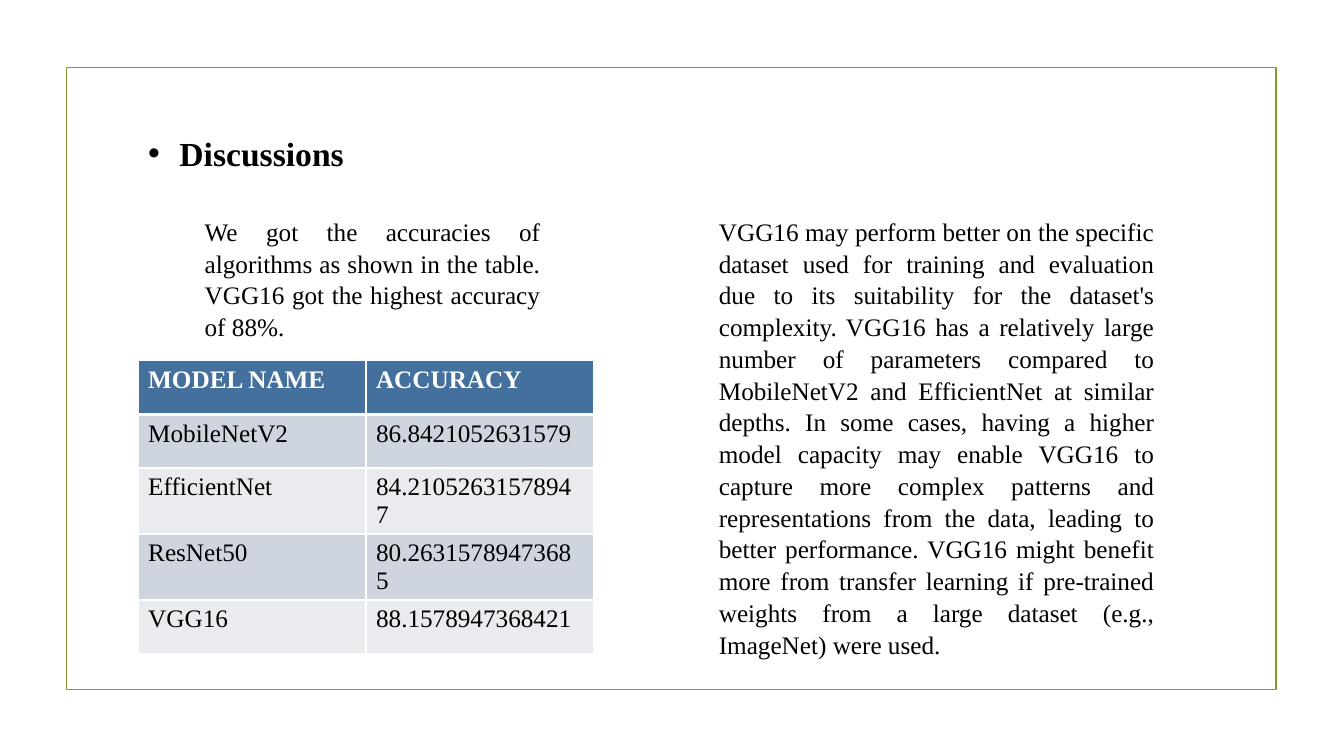
from dataclasses import dataclass

from lxml import etree
from pptx import Presentation
from pptx import util as u
from pptx.dml.color import RGBColor
from pptx.enum import shapes, text
from pptx.oxml.ns import qn


@dataclass(frozen=True)
class Theme:
    """Colours, font and type sizes of the deck."""
    font: str = "Times New Roman"
    ink: str = "000000"
    paper: str = "FFFFFF"
    frame: str = "83992A"
    header: str = "44709D"
    bands: tuple = ("CFD5DF", "E9EBEF")
    title_size: int = 24
    body_size: int = 18


THEME = Theme()
WIDTH, HEIGHT = 13.33, 7.5
LEFT, RIGHT, COLUMN = 1.37, 7.03, 4.52
BODY_TOP = 2.08
INTRO = ("We got the accuracies of algorithms as shown in the table. "
         "VGG16 got the highest accuracy of 88%.")
REASONS = (
    "VGG16 may perform better on the specific dataset used for training and "
    "evaluation due to its suitability for the dataset's complexity. VGG16 has a "
    "relatively large number of parameters compared to MobileNetV2 and EfficientNet "
    "at similar depths. In some cases, having a higher model capacity may enable "
    "VGG16 to capture more complex patterns and representations from the data, "
    "leading to better performance. VGG16 might benefit more from transfer learning "
    "if pre-trained weights from a large dataset (e.g., ImageNet) were used.")
ACCURACIES = [
    ("MODEL NAME", "ACCURACY"),
    ("MobileNetV2", "86.8421052631579"),
    ("EfficientNet", "84.21052631578947"),
    ("ResNet50", "80.26315789473685"),
    ("VGG16", "88.1578947368421"),
]


def style(para, size, color, bold=False):
    """Set the font of a whole paragraph."""
    para.font.name = THEME.font
    para.font.size = u.Pt(size)
    para.font.bold = bold
    para.font.color.rgb = RGBColor.from_string(color)


def fill_placeholder(holder, box, words, bullet=None, indent=0):
    """Move a placeholder to its box and return its one left-aligned paragraph."""
    holder.left, holder.top, holder.width, holder.height = map(u.Inches, box)
    frame = holder.text_frame
    frame.text = words
    frame.word_wrap = True
    frame.auto_size = text.MSO_AUTO_SIZE.NONE
    frame.vertical_anchor = text.MSO_ANCHOR.TOP
    para = frame.paragraphs[0]
    para.alignment = text.PP_ALIGN.LEFT
    para.space_before = u.Pt(0)
    props = para._p.get_or_add_pPr()
    props.set("marL", str(u.Inches(indent)))
    props.set("indent", str(-u.Inches(indent)))
    if bullet:
        etree.SubElement(props, qn("a:buFont"), typeface="Arial")
        etree.SubElement(props, qn("a:buChar"), char=bullet)
    else:
        etree.SubElement(props, qn("a:buNone"))
    return para


def add_frame(page, box):
    """Draw the outline around the page."""
    outline = page.shapes.add_shape(shapes.MSO_SHAPE.RECTANGLE, *map(u.Inches, box))
    outline.shadow.inherit = False
    outline.fill.background()
    outline.line.color.rgb = RGBColor.from_string(THEME.frame)
    outline.line.width = u.Pt(1.25)


def add_title(page, box, words):
    """Place the bulleted title."""
    para = fill_placeholder(page.shapes.title, box, words, "•", 0.31)
    style(para, THEME.title_size, THEME.ink, True)


def add_body(holder, box, words):
    """Place a justified passage."""
    para = fill_placeholder(holder, box, words)
    para.alignment = text.PP_ALIGN.JUSTIFY
    para.line_spacing = 1.05
    style(para, THEME.body_size, THEME.ink)


def add_borders(cell, top, bottom):
    """Give a cell borders of the stated widths in points."""
    props = cell._tc.get_or_add_tcPr()
    widths = {"a:lnL": 1, "a:lnR": 1, "a:lnT": top, "a:lnB": bottom}
    for place, (tag, width) in enumerate(widths.items()):
        line = etree.Element(qn(tag), w=str(u.Pt(width)))
        fill = etree.SubElement(line, qn("a:solidFill"))
        etree.SubElement(fill, qn("a:srgbClr"), val=THEME.paper)
        props.insert(place, line)


def add_table(page, box, rows):
    """Build the banded table with a header row."""
    table = page.shapes.add_table(len(rows), len(rows[0]), *map(u.Inches, box)).table
    for r, values in enumerate(rows):
        is_header = r == 0
        fill = THEME.header if is_header else THEME.bands[(r - 1) % 2]
        for c, value in enumerate(values):
            cell = table.cell(r, c)
            cell.text = value
            cell.fill.solid()
            cell.fill.fore_color.rgb = RGBColor.from_string(fill)
            add_borders(cell, 3 if r == 1 else 1, 3 if is_header else 1)
            style(cell.text_frame.paragraphs[0], THEME.body_size,
                  THEME.paper if is_header else THEME.ink, is_header)


def build_discussion(deck):
    """Build the discussion slide."""
    page = deck.slides.add_slide(deck.slide_layouts.get_by_name("Two Content"))
    intro, reasons = [p for p in page.placeholders if p.placeholder_format.idx in (1, 2)]
    add_frame(page, (0.66, 0.67, 12, 6.17))
    add_title(page, (LEFT, 1.27, 6.12, 0.5), "Discussions")
    add_body(intro, (1.93, BODY_TOP, 3.53, 1.31), INTRO)
    add_table(page, (LEFT, 3.58, COLUMN, 2.66), ACCURACIES)
    add_body(reasons, (RIGHT, BODY_TOP, COLUMN, 4.34), REASONS)


def main():
    """Create and save the deck."""
    deck = Presentation()
    deck.slide_width, deck.slide_height = u.Inches(WIDTH), u.Inches(HEIGHT)
    build_discussion(deck)
    deck.save("out.pptx")


if __name__ == "__main__":
    main()
